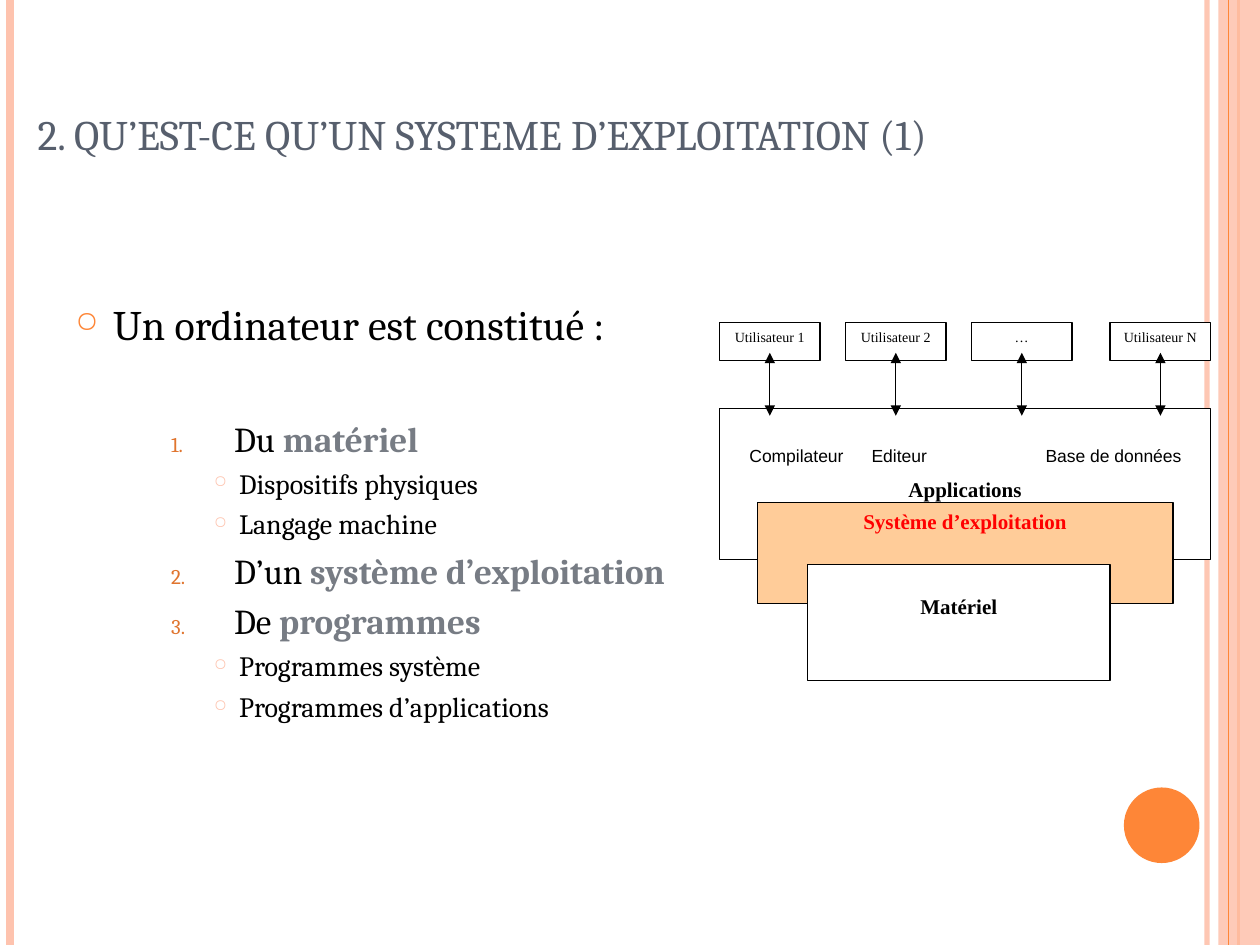
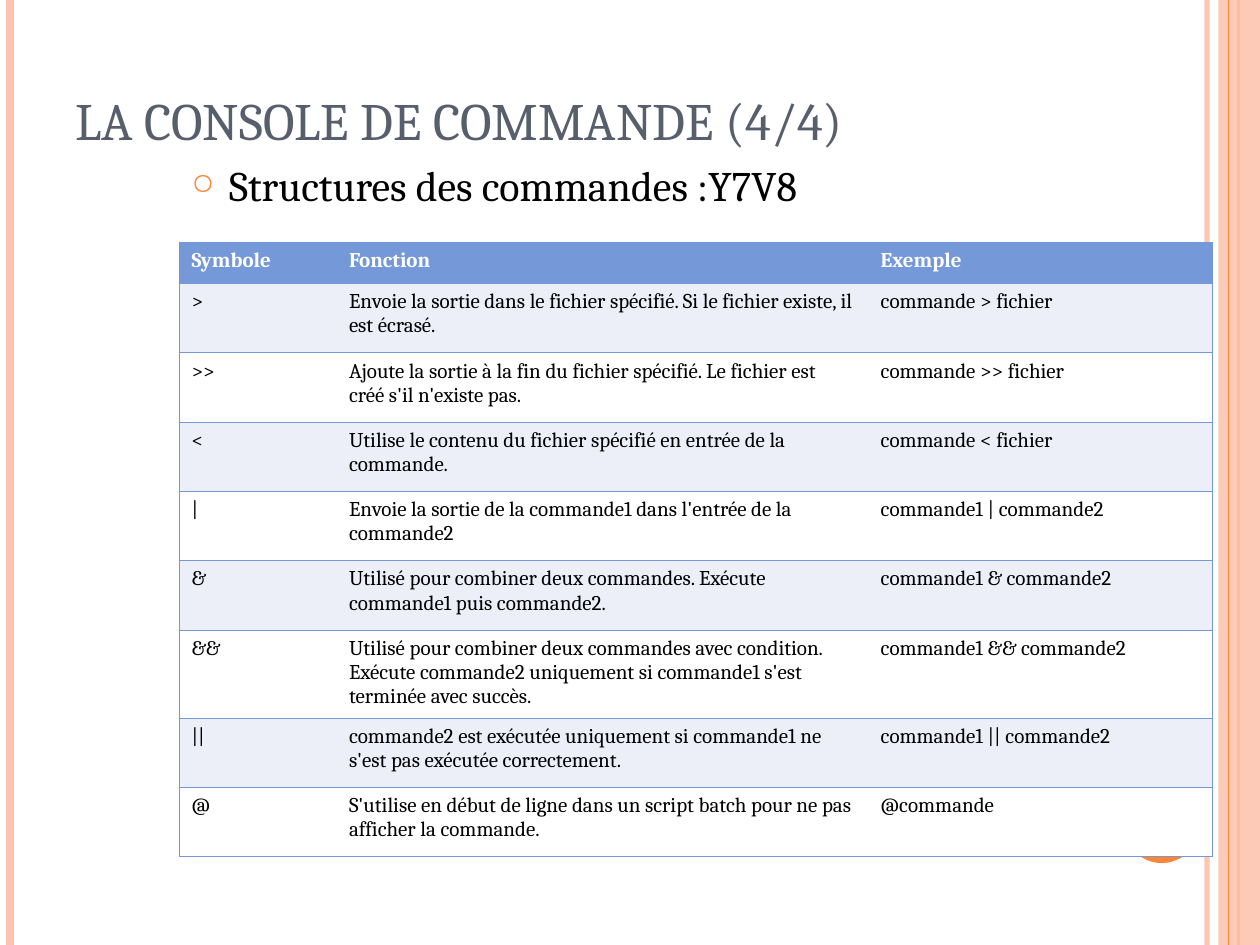
"""Builds two course slides: parts of an operating system and console command symbols."""
from pptx import Presentation
from pptx.dml.color import RGBColor as RGB
from pptx.enum.shapes import MSO_CONNECTOR as CONN, MSO_SHAPE as SHAPE
from pptx.enum.text import MSO_ANCHOR as ANCHOR, PP_ALIGN as ALIGN
from pptx.oxml.ns import qn
from pptx.util import Inches, Pt
from lxml.etree import SubElement

ORANGE, PEACH, RUST = RGB(0xFE, 0x86, 0x37), RGB(0xFE, 0xC3, 0xAE), RGB(0xE0, 0x75, 0x2F)
SLATE, GREY = RGB(0x57, 0x5F, 0x6D), RGB(0x77, 0x7C, 0x84)
BLACK, WHITE, RED = RGB(0, 0, 0), RGB(255, 255, 255), RGB(255, 0, 0)
SAND, BLUE, PALE = RGB(0xFF, 0xCC, 0x99), RGB(0x75, 0x98, 0xD9), RGB(0xEC, 0xEF, 0xF8)
SERIF, TIMES, SANS = "Cambria", "Times New Roman", "Arial"

LEVELS = {
    "head": dict(lvl=0, left=0.3, hang=0.3, size=24, before=6, mark="○", color=ORANGE, pct=70),
    "item": dict(lvl=1, left=1.26, hang=0.5, size=20, before=5, mark=None, color=RUST, pct=60),
    "sub": dict(lvl=2, left=1.3, hang=0.2, size=16, before=4, mark="○", color=PEACH, pct=60),
}
COMPUTER_PARTS = [
    ("head", "Un ordinateur est constitué :", ""),
    ("item", "Du ", "matériel"),
    ("sub", "Dispositifs physiques", ""),
    ("sub", "Langage machine", ""),
    ("item", "D’un ", "système d’exploitation"),
    ("item", "De ", "programmes"),
    ("sub", "Programmes système", ""),
    ("sub", "Programmes d’applications", ""),
]
LIST_GAP = 39
USERS = [("Utilisateur 1", 5.71), ("Utilisateur 2", 6.71), ("…", 7.71), ("Utilisateur N", 8.81)]
USER_TOP, USER_W, USER_H = 2.56, 0.8, 0.3
ARROW_TOP, ARROW_BOTTOM = 2.8, 3.3
APPLICATIONS = ["Compilateur", "Editeur", "Base de données"]
APPLICATION_TABS = [0.14, 1.11, 2.49]

COMMANDS = [
    ("Symbole", "Fonction", "Exemple"),
    (">", "Envoie la sortie dans le fichier spécifié. Si le fichier existe, il est écrasé.",
     "commande > fichier"),
    (">>", "Ajoute la sortie à la fin du fichier spécifié. Le fichier est créé s'il n'existe pas.",
     "commande >> fichier"),
    ("<", "Utilise le contenu du fichier spécifié en entrée de la commande.",
     "commande < fichier"),
    ("|", "Envoie la sortie de la commande1 dans l'entrée de la commande2",
     "commande1 | commande2"),
    ("&", "Utilisé pour combiner deux commandes. Exécute commande1 puis commande2.",
     "commande1 & commande2"),
    ("&&", "Utilisé pour combiner deux commandes avec condition. Exécute commande2 "
     "uniquement si commande1 s'est terminée avec succès.", "commande1 && commande2"),
    ("||", "commande2 est exécutée uniquement si commande1 ne s'est pas exécutée correctement.",
     "commande1 || commande2"),
    ("@", "S'utilise en début de ligne dans un script batch pour ne pas afficher la commande.",
     "@commande"),
]
COL_WIDTHS = [1.25, 4.22, 2.73]
ROW_HEIGHTS = [0.33] + [0.55] * 5 + [0.7] + [0.55] * 2

BAND_LINES = [(9.58, PEACH, 3, 93), (0.08, PEACH, 4.5, 100), (9.83, ORANGE, 1.5, 100)]


def style(p, size, font=SERIF, color=BLACK, bold=False):
    for r in p.runs:
        r.font.size, r.font.name, r.font.bold = Pt(size), font, bold
        r.font.color.rgb = color


def set_alpha(sp, percent):
    clr = next(sp._element.spPr.iter(qn("a:srgbClr")))
    SubElement(clr, qn("a:alpha"), val=str(percent * 1000))


def add_line(s, x, top, bottom, color, width, arrows=False):
    c = s.shapes.add_connector(CONN.STRAIGHT, Inches(x), Inches(top), Inches(x), Inches(bottom))
    c.line.color.rgb, c.line.width = color, Pt(width)
    if arrows:
        ln = c._element.spPr.find(qn("a:ln"))
        for end in ("a:headEnd", "a:tailEnd"):
            SubElement(ln, qn(end), type="triangle")
    SubElement(c._element.spPr, qn("a:effectLst"))
    return c


def add_box(s, at, fill, line=None, kind=SHAPE.RECTANGLE):
    sp = s.shapes.add_shape(kind, *map(Inches, at))
    sp.shadow.inherit = False
    sp.fill.solid()
    sp.fill.fore_color.rgb = fill
    if line is None:
        sp.line.fill.background()
    else:
        sp.line.color.rgb, sp.line.width = line, Pt(0.75)
    sp.text_frame.word_wrap = True
    sp.text_frame.vertical_anchor = ANCHOR.TOP
    return sp


def add_label_box(s, at, text, size, fill=WHITE, color=BLACK, bold=True, inset=0.05):
    tf = add_box(s, at, fill, BLACK).text_frame
    tf.margin_top = Inches(inset)
    p = tf.paragraphs[0]
    p.text, p.alignment = text, ALIGN.CENTER
    style(p, size, TIMES, color, bold)


def add_text(s, at, anchor=ANCHOR.TOP):
    tf = s.shapes.add_textbox(*map(Inches, at)).text_frame
    tf.word_wrap, tf.vertical_anchor = True, anchor
    return tf


def new_slide(prs, title, at, size):
    s = prs.slides.add_slide(prs.slide_layouts[6])
    for x, color, width, alpha in BAND_LINES:
        c = add_line(s, x, 0, 7.5, color, width)
        if alpha < 100:
            set_alpha(c, alpha)
    set_alpha(add_box(s, (9.67, 0, 0.33, 7.5), PEACH), 87)
    add_line(s, 9.75, 0, 7.5, ORANGE, 0.75)
    add_box(s, (8.92, 6.25, 0.6, 0.6), ORANGE, kind=SHAPE.OVAL)
    p = add_text(s, at, ANCHOR.BOTTOM).paragraphs[0]
    p.text = title
    style(p, size, color=SLATE)
    return s


def add_bullets(s, at, items):
    tf = add_text(s, at)
    for i, (level, plain, strong) in enumerate(items):
        look = LEVELS[level]
        p = tf.add_paragraph() if i else tf.paragraphs[0]
        p.level = look["lvl"]
        pPr = p._p.get_or_add_pPr()
        pPr.set("marL", str(Inches(look["left"])))
        pPr.set("indent", str(-Inches(look["hang"])))
        if i:
            p.space_before = Pt(LIST_GAP if i == 1 else look["before"])
        SubElement(SubElement(pPr, qn("a:buClr")), qn("a:srgbClr"), val=str(look["color"]))
        SubElement(pPr, qn("a:buSzPct"), val=str(look["pct"] * 1000))
        if look["mark"]:
            SubElement(pPr, qn("a:buChar"), char=look["mark"])
        else:
            SubElement(pPr, qn("a:buAutoNum"), type="arabicPeriod")
        p.add_run().text = plain
        style(p, look["size"])
        if strong:
            r = p.add_run()
            r.text = strong
            r.font.size, r.font.name, r.font.bold = Pt(look["size"]), SERIF, True
            r.font.color.rgb = GREY


def add_applications(s, at):
    tf = add_box(s, at, WHITE, BLACK).text_frame
    tf.margin_top = Inches(0.29)
    p = tf.paragraphs[0]
    p.alignment, p.space_after = ALIGN.LEFT, Pt(6)
    tabs = SubElement(p._p.get_or_add_pPr(), qn("a:tabLst"))
    for x in APPLICATION_TABS:
        SubElement(tabs, qn("a:tab"), pos=str(Inches(x)), algn="l")
    for name in APPLICATIONS:
        p.add_run().text = "\t" + name
    style(p, 10, SANS)
    p = tf.add_paragraph()
    p.text, p.alignment = "Applications", ALIGN.CENTER
    style(p, 12, TIMES, bold=True)


def set_borders(cell, visible):
    tcPr = cell._tc.get_or_add_tcPr()
    for side in ("L", "R", "T", "B"):
        ln = SubElement(tcPr, qn("a:ln" + side), w=str(Pt(0.45)))
        if side in visible:
            SubElement(SubElement(ln, qn("a:solidFill")), qn("a:srgbClr"), val=str(BLUE))
        else:
            SubElement(ln, qn("a:noFill"))


def add_commands(s, left, top):
    size = Inches(sum(COL_WIDTHS)), Inches(sum(ROW_HEIGHTS))
    table = s.shapes.add_table(len(COMMANDS), len(COL_WIDTHS),
                               Inches(left), Inches(top), *size).table
    for col, width in zip(table.columns, COL_WIDTHS):
        col.width = Inches(width)
    for i, (row, height) in enumerate(zip(COMMANDS, ROW_HEIGHTS)):
        table.rows[i].height = Inches(height)
        for j, text in enumerate(row):
            cell = table.cell(i, j)
            set_borders(cell, "TB" + ("L", "", "R")[j])
            cell.fill.solid()
            cell.fill.fore_color.rgb = BLUE if i == 0 else PALE if i % 2 else WHITE
            p = cell.text_frame.paragraphs[0]
            p.text = text
            style(p, 12, color=BLACK if i else WHITE, bold=i == 0)


def build_system(prs):
    s = new_slide(prs, "2. QU’EST-CE QU’UN SYSTEME D’EXPLOITATION (1)",
                  (0.2, 0.14, 8.92, 1.17), 24)
    add_bullets(s, (0.5, 2.32, 5.44, 3.85), COMPUTER_PARTS)
    add_applications(s, (5.71, 3.24, 3.9, 1.2))
    add_label_box(s, (6.01, 3.99, 3.3, 0.8), "Système d’exploitation", 12, SAND, RED)
    add_label_box(s, (6.41, 4.48, 2.4, 0.92), "Matériel", 12, inset=0.23)
    for name, x in USERS:
        add_label_box(s, (x, USER_TOP, USER_W, USER_H), name, 8, bold=False)
    for _, x in USERS:
        add_line(s, x + USER_W / 2, ARROW_TOP, ARROW_BOTTOM, BLACK, 0.75, arrows=True)


def build_console(prs):
    s = new_slide(prs, "LA CONSOLE DE COMMANDE (4/4)", (0.5, 0.3, 8.17, 0.95), 30)
    add_bullets(s, (1.42, 1.22, 8.2, 0.7), [("head", "Structures des commandes :Y7V8", "")])
    add_commands(s, 1.42, 1.92)


def main():
    prs = Presentation()
    prs.slide_width, prs.slide_height = Inches(10), Inches(7.5)
    build_system(prs)
    build_console(prs)
    prs.save("out.pptx")


if __name__ == "__main__":
    main()
